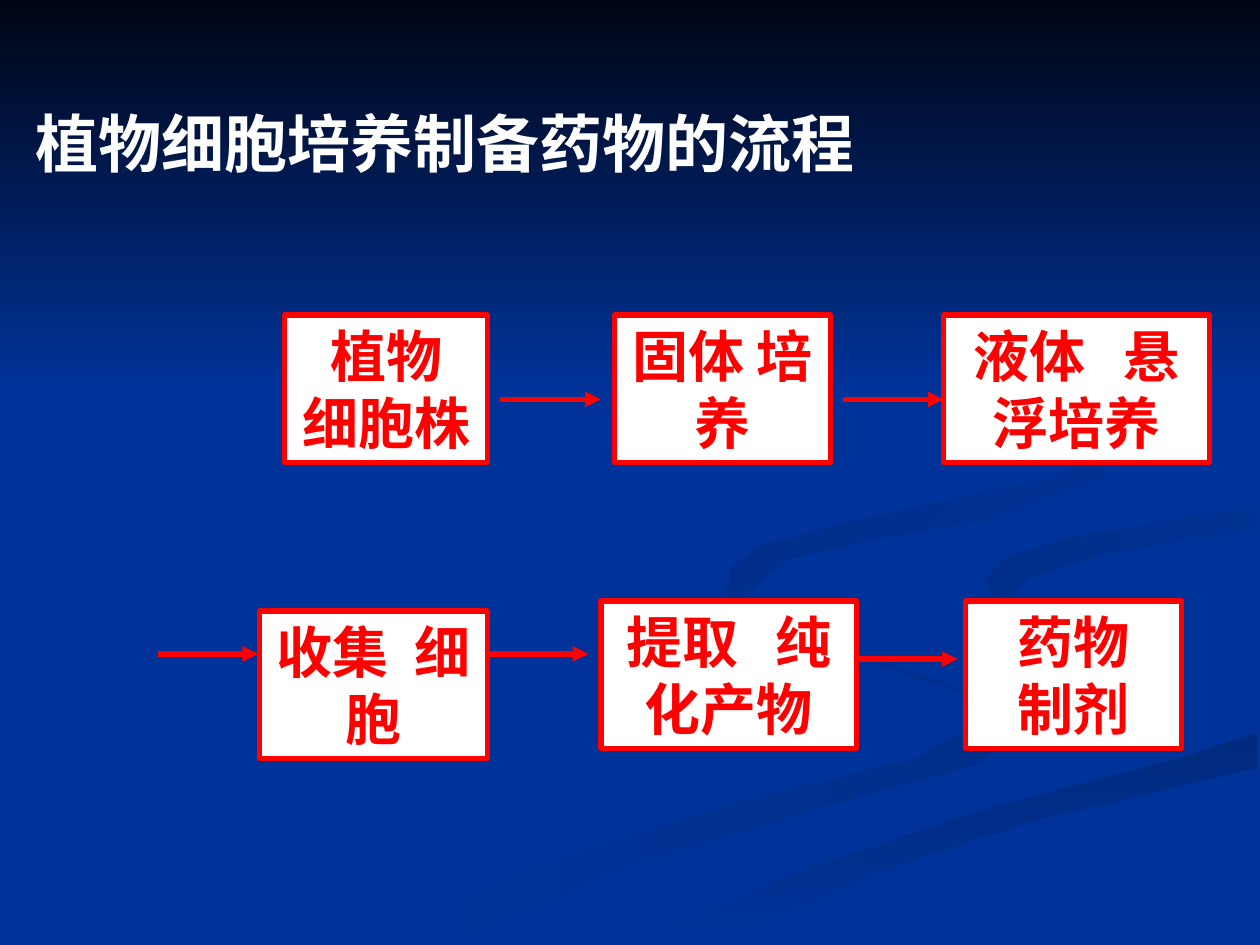
from lxml import etree
from pptx import Presentation
from pptx.dml.color import RGBColor
from pptx.enum import shapes, text
from pptx.oxml import ns
from pptx.util import Inches, Pt

COLORS = {
    "blue": "003399", "night": "000514", "red": "FF0000", "white": "FFFFFF",
    "shade_a": "002E8B", "shade_b": "002A7D", "shade_c": "002D86", "shade_d": "002B82",
}
CJK_FONT = "Noto Sans CJK SC"

# Ribbon outlines in hundredths of an inch: fill (one colour or two plus angle), points.
RIBBONS = [
    (("blue", "shade_a", 0), [
        (781, 553), (682, 519), (594, 485), (575, 459), (572, 476), (654, 513),
        (770, 551), (785, 570), (727, 602), (579, 639), (417, 690), (300, 749),
        (361, 749), (499, 687), (676, 634), (780, 605), (800, 581)]),
    (("shade_b", "blue", 90), [
        (503, 749), (571, 749), (695, 692), (821, 651), (998, 609), (998, 581),
        (936, 602), (764, 647), (630, 693)]),
    (("blue",), [
        (725, 464), (759, 498), (905, 540), (943, 570), (911, 600), (743, 643),
        (573, 703), (477, 749), (503, 749), (630, 693), (765, 647), (999, 581),
        (999, 538), (866, 509), (786, 473), (800, 442), (999, 402), (999, 387),
        (788, 422), (732, 446)]),
    (("shade_c", "blue", 45), [
        (781, 460), (791, 478), (826, 496), (805, 472), (816, 459), (878, 439),
        (998, 420), (998, 402), (849, 427), (799, 442)]),
    (("shade_d", "blue", 45), [
        (683, 430), (786, 412), (876, 378), (894, 344), (864, 291), (762, 233),
        (870, 299), (886, 348), (842, 378), (676, 414), (605, 433), (580, 451),
        (580, 474), (622, 500), (593, 470), (624, 444)]),
]

# Step boxes: text, left, top, width, extra points in the gap.
STEPS = [
    ("植物 细胞株", 2.26, 2.5, 1.61, 0),
    ("固体 培养", 4.88, 2.5, 1.71, 0),
    ("液体 悬浮培养", 7.49, 2.5, 2.11, 14),
    ("收集 细胞", 2.06, 4.85, 1.81, 7),
    ("提取 纯化产物", 4.77, 4.77, 2.03, 14),
    ("药物 制剂", 7.66, 4.77, 1.72, 21),
]
STEP_HEIGHT = 1.17
ARROWS = [(3.97, 3.17), (6.69, 3.17), (1.25, 5.19), (3.87, 5.19), (6.8, 5.23)]
ARROW_LENGTH = 0.8


def rgb(name):
    return RGBColor.from_string(COLORS[name])


def paint(s, first, second=None, angle=0):
    """Fill with one colour, or a gradient whose angle runs clockwise."""
    s.shadow.inherit = False
    if second is None:
        s.fill.solid()
        s.fill.fore_color.rgb = rgb(first)
        return
    s.fill.gradient()
    s.fill.gradient_angle = (360 - angle) % 360
    for stop, name, position in zip(s.fill.gradient_stops, (first, second), (0, 1)):
        stop.color.rgb = rgb(name)
        stop.position = position


def style_font(p, size, color, name):
    p.font.size, p.font.bold, p.font.name = Pt(size), True, name
    p.font.color.rgb = rgb(color)
    etree.SubElement(p.font._element, ns.qn("a:ea")).set("typeface", CJK_FONT)


def add_ribbon(slide, fill, points):
    builder = slide.shapes.build_freeform(*points[0], scale=Inches(0.01))
    builder.add_line_segments(points[1:], close=True)
    s = builder.convert_to_shape()
    paint(s, *fill)
    s.line.fill.background()


def add_rect(slide, left, top, width, height):
    return slide.shapes.add_shape(shapes.MSO_SHAPE.RECTANGLE, Inches(left), Inches(top),
                                  Inches(width), Inches(height))


def add_step(slide, label, left, top, width, gap):
    s = add_rect(slide, left, top, width, STEP_HEIGHT)
    paint(s, "white")
    s.line.color.rgb = rgb("red")
    s.line.width = Pt(3)
    tf = s.text_frame
    tf.word_wrap = True
    tf.vertical_anchor = text.MSO_ANCHOR.TOP
    p = tf.paragraphs[0]
    p.alignment = text.PP_ALIGN.CENTER
    before, after = label.split(" ")
    for part in (before, " ", after):
        r = p.add_run()
        r.text = part
        if part == " " and gap:
            r.font._element.set("spc", str(gap * 100))
    style_font(p, 32, "red", CJK_FONT)


def add_arrow(slide, left, top):
    c = slide.shapes.add_connector(shapes.MSO_CONNECTOR.STRAIGHT, Inches(left), Inches(top),
                                   Inches(left + ARROW_LENGTH), Inches(top))
    c.line.color.rgb = rgb("red")
    c.line.width = Pt(3)
    etree.SubElement(c.line._get_or_add_ln(), ns.qn("a:tailEnd")).set("type", "triangle")
    etree.SubElement(c._element.spPr, ns.qn("a:effectLst"))


def add_title(slide, title):
    s = slide.shapes.add_textbox(Inches(0.18), Inches(0.78), Inches(6.7), Inches(0.7))
    tf = s.text_frame
    tf.word_wrap = False
    tf.vertical_anchor = text.MSO_ANCHOR.MIDDLE
    p = tf.paragraphs[0]
    p.add_run().text = title
    style_font(p, 36, "white", "Calibri")


def main():
    prs = Presentation()
    prs.slide_width, prs.slide_height = Inches(10), Inches(7.5)
    slide = prs.slides.add_slide(prs.slide_layouts[6])
    slide.background.fill.solid()
    slide.background.fill.fore_color.rgb = rgb("blue")
    for fill, points in RIBBONS:
        add_ribbon(slide, fill, points)
    sky = add_rect(slide, 0, 0, 10, 3.08)
    paint(sky, "night", "blue", 90)
    sky.line.fill.background()
    for arrow in ARROWS:
        add_arrow(slide, *arrow)
    for step in STEPS:
        add_step(slide, *step)
    add_title(slide, "植物细胞培养制备药物的流程")
    prs.save("out.pptx")


if __name__ == "__main__":
    main()
